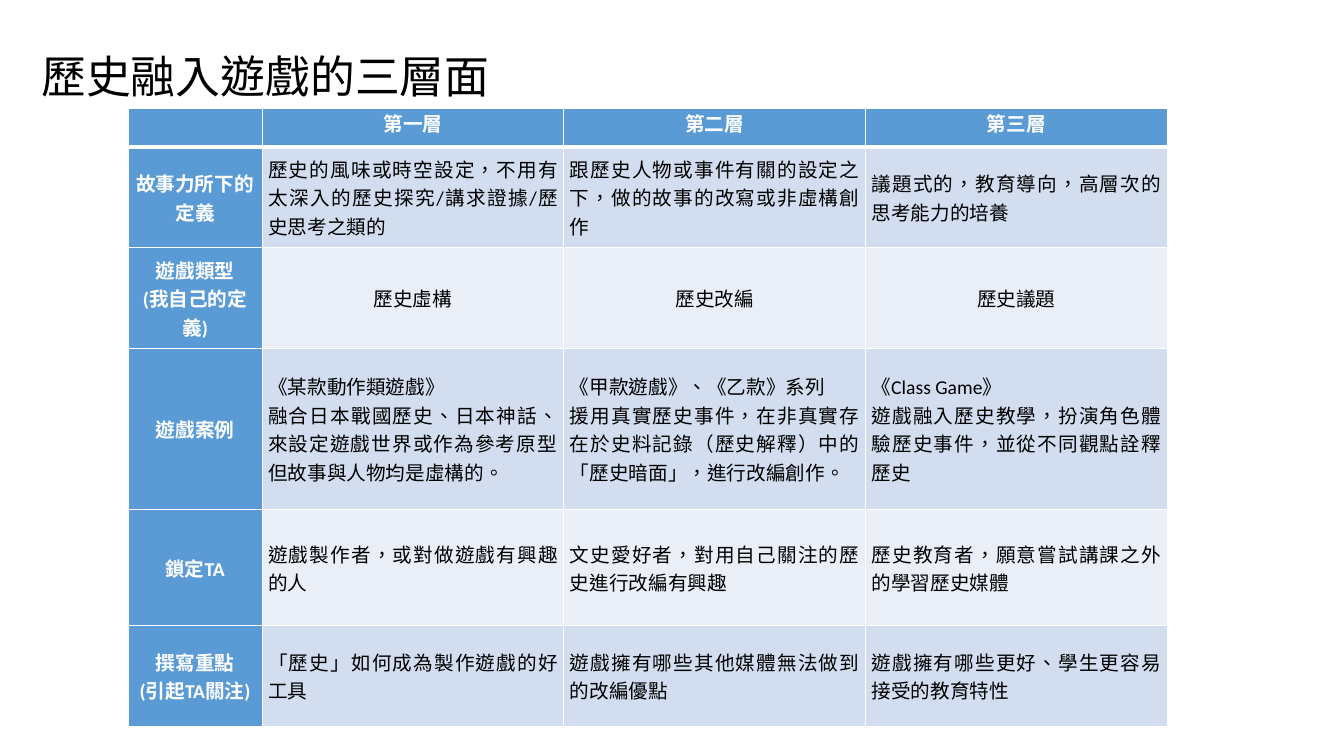
from copy import deepcopy

from lxml.etree import SubElement
from pptx import Presentation
from pptx.dml.color import RGBColor
from pptx.enum.lang import MSO_LANGUAGE_ID as Language
from pptx.enum.text import MSO_ANCHOR as Anchor, MSO_AUTO_SIZE as AutoSize, PP_ALIGN as Align
from pptx.oxml.ns import qn
from pptx.util import Pt

WHITE = RGBColor(0xFF, 0xFF, 0xFF)
BLACK = RGBColor(0x00, 0x00, 0x00)
HEADER_BLUE = RGBColor(0x5B, 0x9B, 0xD5)
BAND_DARK = RGBColor(0xD2, 0xDE, 0xEF)
BAND_LIGHT = RGBColor(0xEA, 0xEF, 0xF7)

CJK_FONT = "Noto Sans CJK JP"
TITLE_FONT = {"name": CJK_FONT, "size": Pt(32), "bold": False}
HEADER_FONT = {"name": "Calibri", "size": Pt(14), "bold": True}
BODY_FONT = {"name": "Calibri", "size": Pt(14), "bold": False}

COLUMN_WIDTHS = [95.9, 215.5, 215.5, 215.5]
ROW_HEIGHTS = [27.5, 72, 72, 115.2, 82.8, 72]
CENTERED_ROWS = (0, 2)

# Each cell is a list of paragraphs; "\n" is a line break inside one
ROWS = [
    [[], ["第一層"], ["第二層"], ["第三層"]],
    [["故事力所下的定義"],
     ["歷史的風味或時空設定，不用有太深入的歷史探究/講求證據/歷史思考之類的"],
     ["跟歷史人物或事件有關的設定之下，做的故事的改寫或非虛構創作"],
     ["議題式的，教育導向，高層次的思考能力的培養"]],
    [["遊戲類型\n(我自己的定義)"], ["歷史虛構"], ["歷史改編"], ["歷史議題"]],
    [["遊戲案例"],
     ["《某款動作類遊戲》",
      "融合日本戰國歷史、日本神話、來設定遊戲世界或作為參考原型，但故事與人物均是虛構的。"],
     ["《甲款遊戲》、《乙款》系列",
      "援用真實歷史事件，在非真實存在於史料記錄（歷史解釋）中的「歷史暗面」，進行改編創作。"],
     ["《Class Game》",
      "遊戲融入歷史教學，扮演角色體驗歷史事件，並從不同觀點詮釋歷史"]],
    [["鎖定TA"],
     ["遊戲製作者，或對做遊戲有興趣的人"],
     ["文史愛好者，對用自己關注的歷史進行改編有興趣"],
     ["歷史教育者，願意嘗試講課之外的學習歷史媒體"]],
    [["撰寫重點", "(引起TA關注)"],
     ["「歷史」如何成為製作遊戲的好工具"],
     ["遊戲擁有哪些其他媒體無法做到的改編優點"],
     ["遊戲擁有哪些更好、學生更容易接受的教育特性"]],
]


def write_paragraphs(text_frame, texts, alignment, font_format, color):
    for index, text in enumerate(texts):
        paragraph = text_frame.paragraphs[0] if index == 0 else text_frame.add_paragraph()
        paragraph.text = text
        paragraph.alignment = alignment
        for run in paragraph.runs:
            for name, value in font_format.items():
                setattr(run.font, name, value)
            run.font.color.rgb = color
            run.font.language_id = Language.TRADITIONAL_CHINESE
            properties = run.font._element
            SubElement(properties, qn("a:ea")).set("typeface", CJK_FONT)
            properties.find(qn("a:latin")).addnext(properties.find(qn("a:ea")))
        # A line break takes the format of the text around it
        for line_break in paragraph._p.findall(qn("a:br")):
            line_break.append(deepcopy(paragraph.runs[0].font._element))


def set_borders(cell, widths):
    """Draw white borders; they must stand before the fill in the cell properties."""
    properties = cell._tc.get_or_add_tcPr()
    for position, (side, width) in enumerate(widths.items()):
        line = SubElement(properties, qn(f"a:{side}"), w=str(Pt(width)))
        solid = SubElement(line, qn("a:solidFill"))
        SubElement(solid, qn("a:srgbClr"), val=str(WHITE))
        properties.insert(position, line)


def add_title(slide, left, top, width, height):
    box = slide.shapes.add_textbox(Pt(left), Pt(top), Pt(width), Pt(height))
    box.text_frame.word_wrap = False
    box.text_frame.auto_size = AutoSize.SHAPE_TO_FIT_TEXT
    write_paragraphs(box.text_frame, ["歷史融入遊戲的三層面"], Align.CENTER, TITLE_FONT, BLACK)


def format_cell(cell, row, column, texts):
    is_header = row == 0 or column == 0
    cell_format = {
        "margin_left": Pt(4.3), "margin_right": Pt(4.3),
        "margin_top": Pt(0), "margin_bottom": Pt(0),
        "vertical_anchor": Anchor.TOP if row == 0 else Anchor.MIDDLE,
    }
    for name, value in cell_format.items():
        setattr(cell, name, value)
    cell.fill.solid()
    band = BAND_DARK if row % 2 else BAND_LIGHT
    cell.fill.fore_color.rgb = HEADER_BLUE if is_header else band
    set_borders(cell, {"lnL": 1, "lnR": 1,
                       "lnT": 3 if row == 1 else 1,
                       "lnB": 3 if row == 0 else 1})
    centered = is_header or row in CENTERED_ROWS
    write_paragraphs(cell.text_frame, texts,
                     Align.CENTER if centered else Align.JUSTIFY,
                     HEADER_FONT if is_header else BODY_FONT,
                     WHITE if is_header else BLACK)


def add_layer_table(slide, left, top):
    frame = slide.shapes.add_table(len(ROW_HEIGHTS), len(COLUMN_WIDTHS), Pt(left), Pt(top),
                                   Pt(sum(COLUMN_WIDTHS)), Pt(sum(ROW_HEIGHTS)))
    table = frame.table
    for column, width in zip(table.columns, COLUMN_WIDTHS):
        column.width = Pt(width)
    for row, height in zip(table.rows, ROW_HEIGHTS):
        row.height = Pt(height)
    for row, cells in enumerate(ROWS):
        for column, texts in enumerate(cells):
            format_cell(table.cell(row, column), row, column, texts)


def main():
    presentation = Presentation()
    presentation.slide_width, presentation.slide_height = Pt(960), Pt(540)
    slide = presentation.slides.add_slide(presentation.slide_layouts[6])
    add_title(slide, 20.9, 31, 337.7, 46)
    add_layer_table(slide, 91.4, 77.4)
    presentation.save("out.pptx")


if __name__ == "__main__":
    main()
